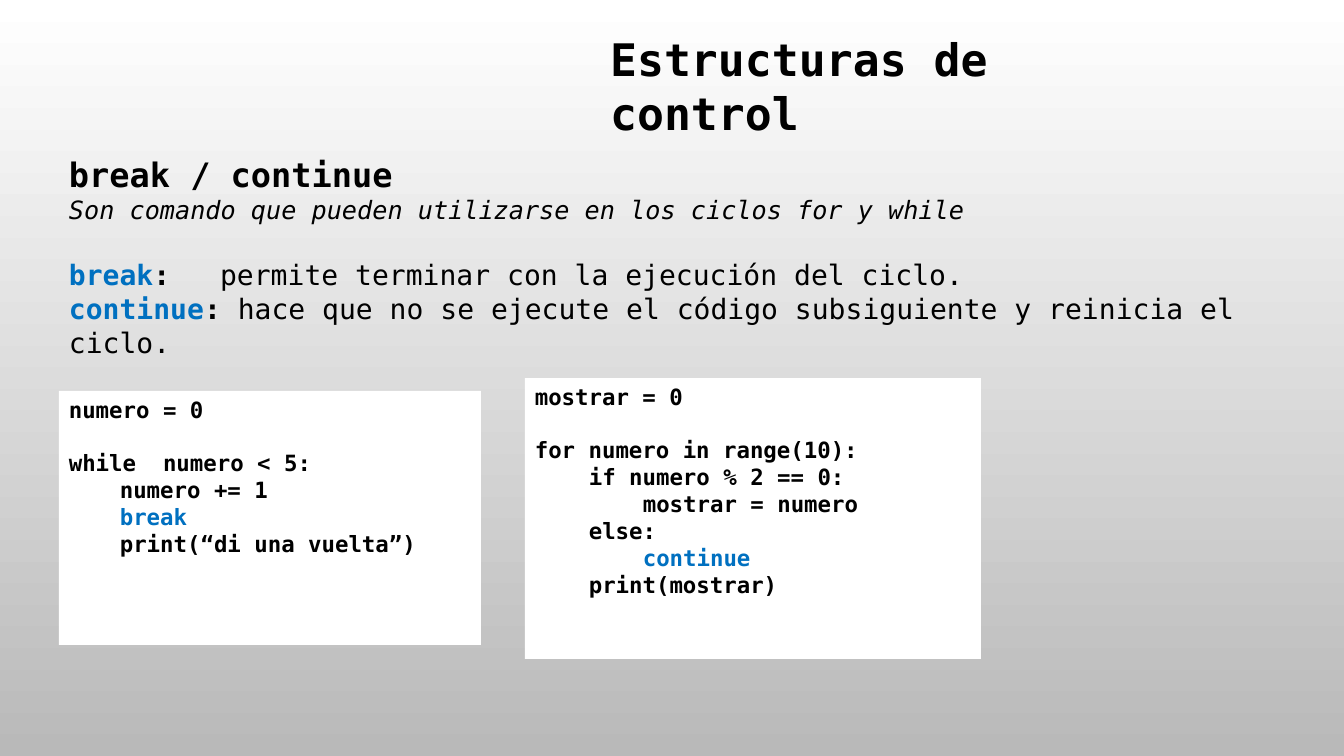
from pptx import Presentation, util as u
from pptx.dml.color import RGBColor
from pptx.enum import shapes, text
from pptx.oxml import parse_xml
from pptx.oxml.ns import nsdecls

BLACK = RGBColor(0, 0, 0)
BLUE = RGBColor(0x00, 0x70, 0xC0)
WHITE = RGBColor(255, 255, 255)
GREY = RGBColor(0xB9, 0xB9, 0xB9)
FONT = "DejaVu Sans Mono"
PX = 914400 / 100.8
BLANK = 19
TAB = 151

PLAIN = {"size": 20, "bold": False}
BOLD = {"size": 20}
KEY = {"size": 20, "color": BLUE}
CODE = {"size": 16}
WORD = {"size": 16, "color": BLUE}

TITLE = ((600, 27, 568, 65), [(0, 0, [("Estructuras de control", {"size": 32})])])
INTRO = ((59, 149, 1164, 82), [
    (0, 0, [("break / continue", {"size": 24})]),
    (0, 0, [("Son comando que pueden utilizarse en los ciclos for y while",
             {"size": 18, "bold": False, "italic": True})]),
])
TERMS = ((59, 253, 1190, 112), [
    (0, 0, [("break", KEY), (":\t", BOLD),
            ("permite terminar con la ejecución del ciclo.", PLAIN)]),
    (0, 0, [("continue", KEY), (": ", BOLD),
            ("hace que no se ejecute el código subsiguiente y reinicia el ciclo.", PLAIN)]),
])
WHILE = ((59, 391, 422, 254), [
    (0, 0, [("numero = 0", CODE)]),
    (0, BLANK, [("while  numero < 5:", CODE)]),
    (51, 0, [("numero += 1", CODE)]),
    (51, 0, [("break", WORD)]),
    (51, 0, [("print(“di una vuelta”)", CODE)]),
])
FOR = ((525, 378, 456, 281), [
    (0, 0, [("mostrar = 0", CODE)]),
    (0, BLANK, [("for numero in range(10):", CODE)]),
    (54, 0, [("if numero % 2 == 0:", CODE)]),
    (108, 0, [("mostrar = numero", CODE)]),
    (54, 0, [("else:", CODE)]),
    (108, 0, [("continue", WORD)]),
    (54, 0, [("print(mostrar)", CODE)]),
])


def px(n):
    return u.Emu(round(n * PX))


def write(shape, lines):
    frame = shape.text_frame
    for name, value in {"word_wrap": True, "auto_size": text.MSO_AUTO_SIZE.NONE,
                        "vertical_anchor": text.MSO_ANCHOR.TOP}.items():
        setattr(frame, name, value)
    for i, (indent, gap, runs) in enumerate(lines):
        para = frame.add_paragraph() if i else frame.paragraphs[0]
        for name, value in {"alignment": text.PP_ALIGN.LEFT, "line_spacing": 1.0,
                            "space_before": u.Pt(gap)}.items():
            setattr(para, name, value)
        props = para._p.get_or_add_pPr()
        props.set("marL", str(px(indent)))
        props.set("indent", "0")
        if any("\t" in words for words, _ in runs):
            props.append(parse_xml(
                f'<a:tabLst {nsdecls("a")}><a:tab pos="{px(TAB)}" algn="l"/></a:tabLst>'))
        for words, style in runs:
            run = para.add_run()
            run.text = words
            look = {"name": FONT, "bold": True, "color": BLACK, **style}
            run.font.color.rgb = look.pop("color")
            look["size"] = u.Pt(look["size"])
            for name, value in look.items():
                setattr(run.font, name, value)


def main():
    deck = Presentation()
    deck.slide_width, deck.slide_height = px(1344), px(756)
    slide = deck.slides.add_slide(deck.slide_layouts[5])
    fill = slide.background.fill
    fill.gradient()
    fill.gradient_angle = 270
    for stop, color in zip(fill.gradient_stops, (WHITE, GREY)):
        stop.color.rgb = color

    box, lines = TITLE
    title = slide.shapes.title
    for name, value in zip(("left", "top", "width", "height"), box):
        setattr(title, name, px(value))
    write(title, lines)

    for box, lines in (INTRO, TERMS):
        write(slide.shapes.add_textbox(*map(px, box)), lines)

    for box, lines in (WHILE, FOR):
        panel = slide.shapes.add_shape(shapes.MSO_SHAPE.RECTANGLE, *map(px, box))
        panel.shadow.inherit = False
        panel.fill.solid()
        panel.fill.fore_color.rgb = WHITE
        panel.line.fill.background()
        write(panel, lines)

    deck.save("out.pptx")


if __name__ == "__main__":
    main()
